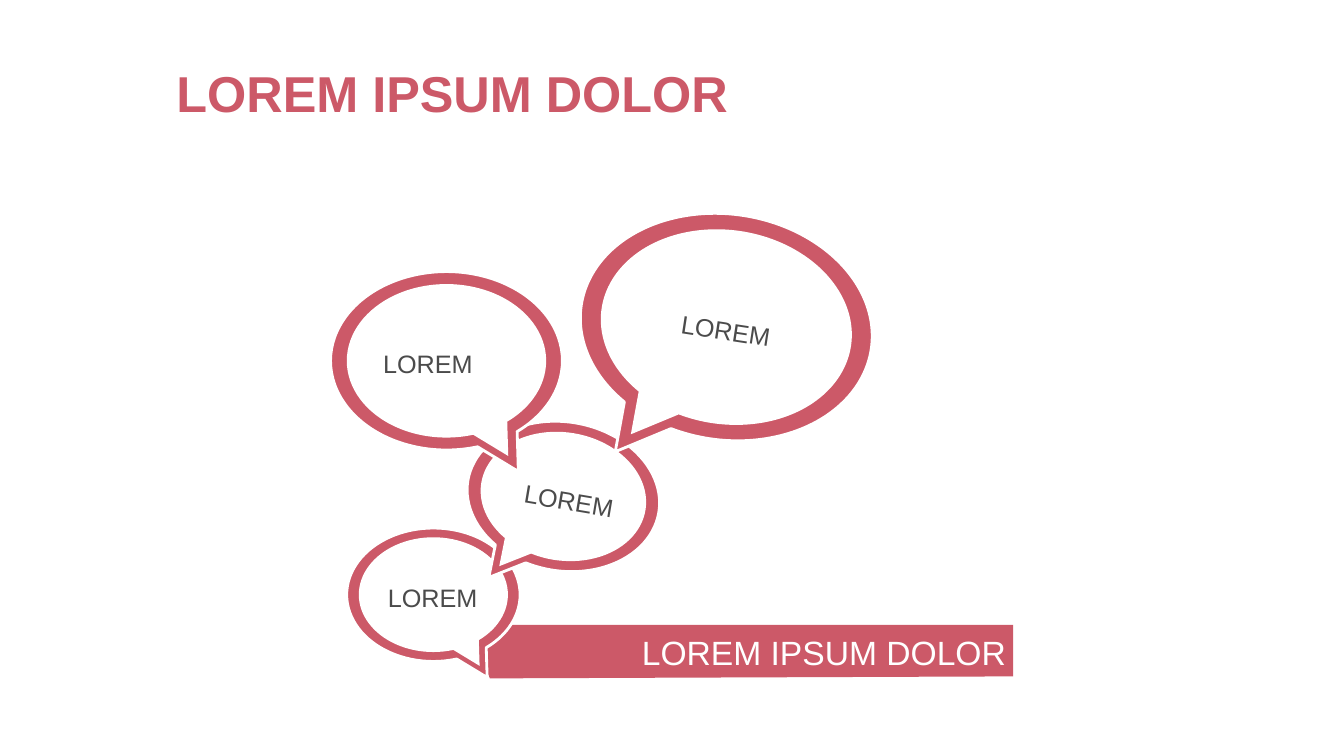
import pptx
import pptx.util
import pptx.dml.color
import pptx.enum.shapes
import pptx.enum.text
from dataclasses import dataclass

ALIGN = pptx.enum.text.PP_ALIGN
MIDDLE = pptx.enum.text.MSO_ANCHOR.MIDDLE
BOTTOM = pptx.enum.text.MSO_ANCHOR.BOTTOM
CALLOUT = pptx.enum.shapes.MSO_SHAPE.OVAL_CALLOUT


@dataclass(frozen=True)
class Theme:
    font: str = "Arial"
    rose: str = "CC5968"
    gray: str = "4B4B4B"
    white: str = "FFFFFF"
    head: int = 36
    band: int = 24
    label: int = 18


theme = Theme()
color = pptx.dml.color.RGBColor.from_string

deck = pptx.Presentation()
deck.slide_width = pptx.util.Inches(13.33)
deck.slide_height = pptx.util.Inches(7.5)
col, row = deck.slide_width / 100, deck.slide_height / 100
slide = deck.slides.add_slide(deck.slide_layouts[5])


def paint(shape, fill, edge=None):
    """Give a shape a flat fill and, if asked, an outline."""
    shape.shadow.inherit = False
    shape.fill.solid()
    shape.fill.fore_color.rgb = color(fill)
    if edge:
        shape.line.color.rgb = color(edge)
        shape.line.width = pptx.util.Pt(2)
    else:
        shape.line.fill.background()


def write(shape, text, size, ink, align, anchor, space=1.0, pad=None, bold=False):
    """Set one line of text; pad is (left, right) in columns."""
    frame = shape.text_frame
    frame.text = text
    frame.word_wrap = True
    frame.auto_size = pptx.enum.text.MSO_AUTO_SIZE.NONE
    frame.vertical_anchor = anchor
    if pad:
        frame.margin_left, frame.margin_right = (int(p * col) for p in pad)
        frame.margin_top = frame.margin_bottom = int(0.53 * row)
    line = frame.paragraphs[0]
    line.alignment = align
    line.line_spacing = space
    font = line.runs[0].font
    font.name, font.size, font.bold = theme.font, pptx.util.Pt(size), bold
    font.color.rgb = color(ink)


# Banner with a slanted left edge
corners = [(75.38, 89.47), (36.45, 89.73), (34.88, 82.67), (75.38, 82.67)]
points = [(int(x * col), int(y * row)) for x, y in corners]
maker = slide.shapes.build_freeform(*points[0])
maker.add_line_segments(points[1:], close=True)
banner = maker.convert_to_shape()
paint(banner, theme.rose)
write(banner, "LOREM IPSUM DOLOR", theme.band, theme.white,
      ALIGN.RIGHT, MIDDLE, pad=(0.53, 0.53))

# Bubbles: centre column, centre row, width in columns, turn, align, padding
RATIO = 0.77  # height to width
INNER = 0.86  # white part to rose part
bubbles = [
    (32.25, 78.67, 12.9, 0, ALIGN.LEFT, (0.53, 0.53)),
    (41.92, 65.67, 14.4, 9.6, ALIGN.LEFT, (1.5, 0)),
    (33.22, 47.73, 17.25, 0, ALIGN.LEFT, (0.53, 0.53)),
    (54.04, 43.27, 21.82, 8.7, ALIGN.CENTER, (0.53, 0.53)),
]
for x, y, span, turn, align, pad in bubbles:
    group = slide.shapes.add_group_shape()
    for share, fill, edge in ((1, theme.rose, theme.white),
                              (INNER, theme.white, None)):
        width = span * col * share
        height = width * RATIO
        bubble = group.shapes.add_shape(
            CALLOUT, int(x * col - width / 2), int(y * row - height / 2),
            int(width), int(height))
        bubble.adjustments[0], bubble.adjustments[1] = 0.31, 0.62
        bubble.rotation = turn
        if turn:
            bubble._element.spPr.xfrm.set("flipH", "1")
        paint(bubble, fill, edge)
    write(bubble, "LOREM", theme.label, theme.gray, align, MIDDLE, 1.2, pad)

title = slide.shapes.title
title.left, title.top = int(12.38 * col), int(7.33 * row)
title.width, title.height = int(75.22 * col), int(9.73 * row)
write(title, "LOREM IPSUM DOLOR", theme.head, theme.rose,
      ALIGN.LEFT, BOTTOM, 0.9, bold=True)

deck.save("out.pptx")
